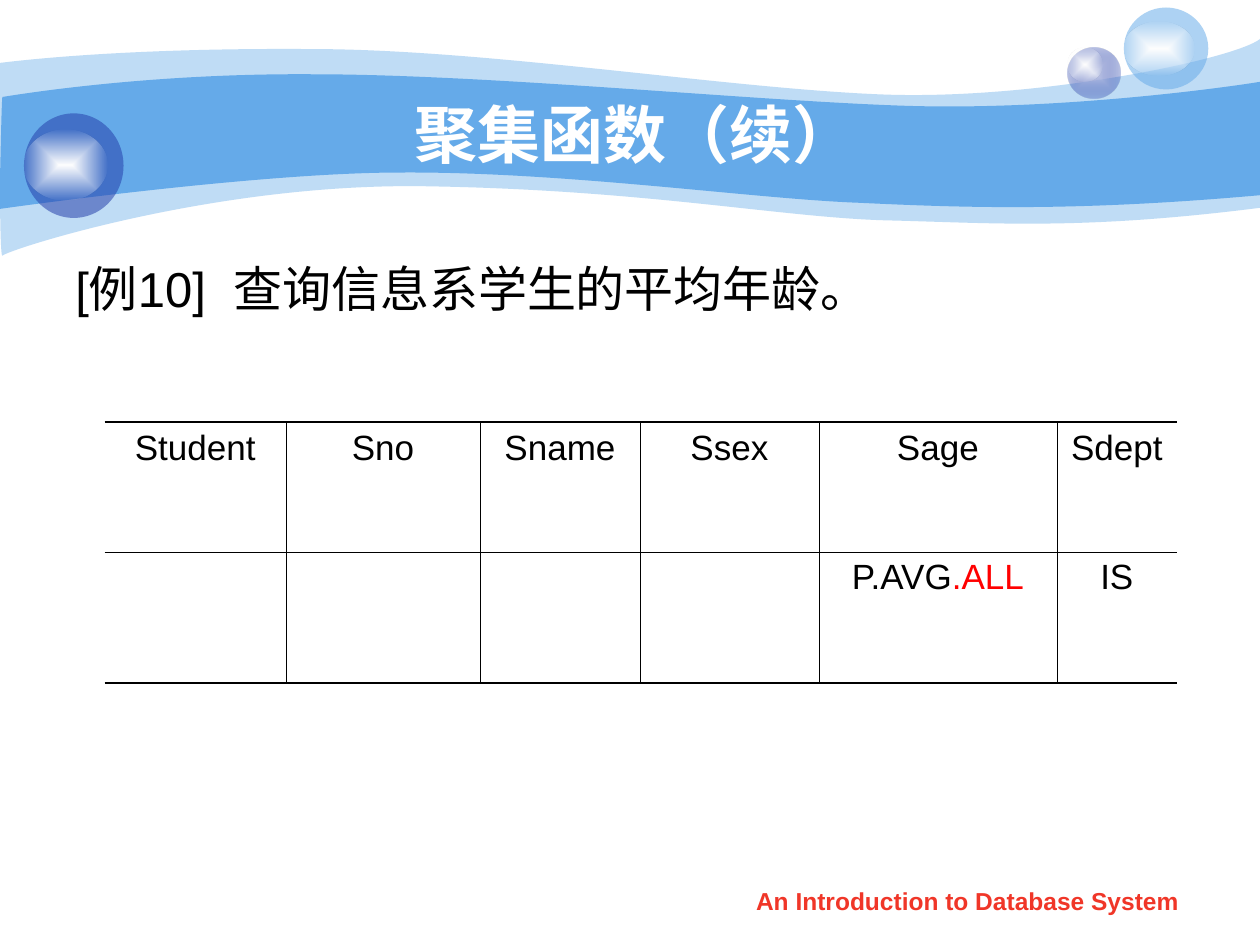
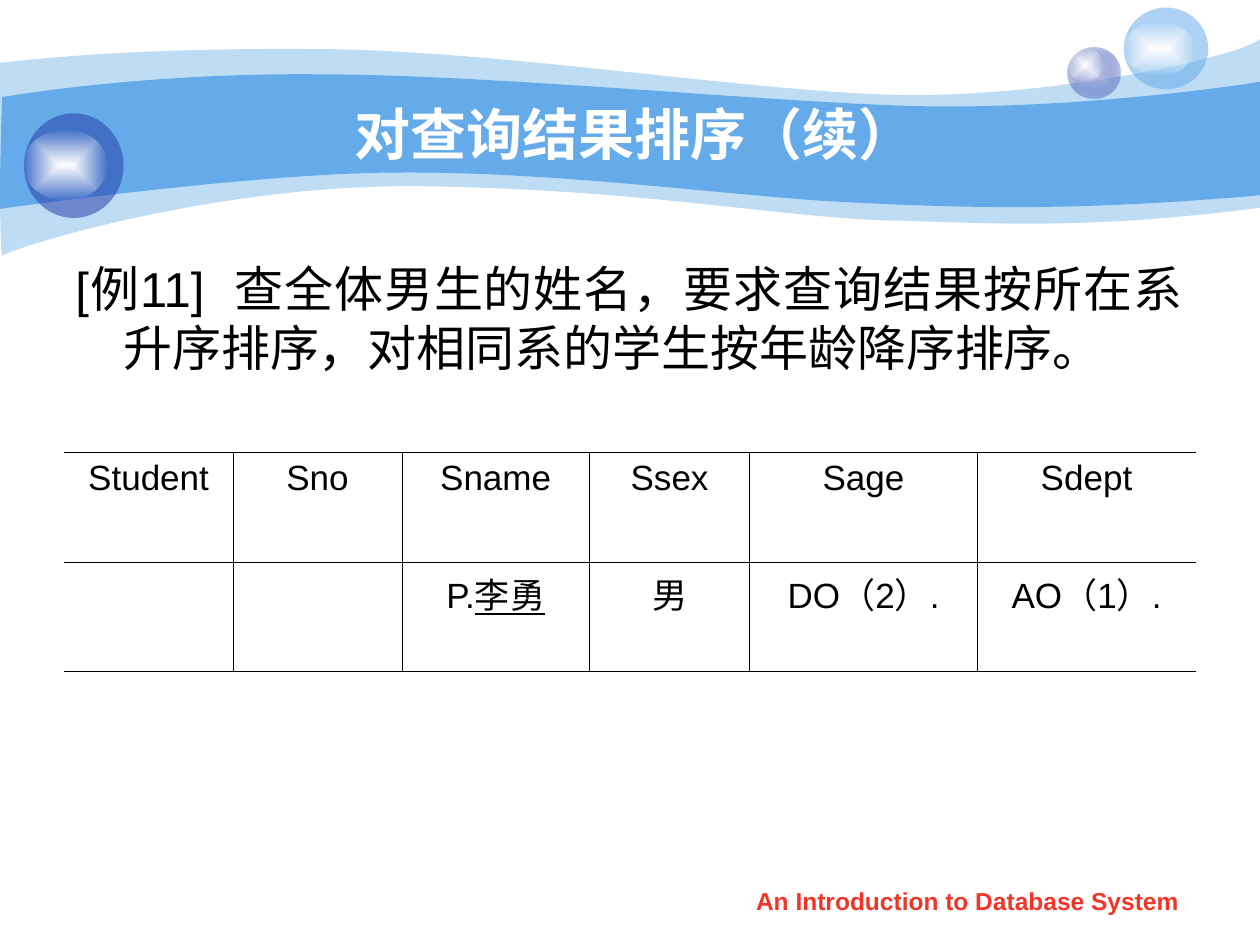
from dataclasses import dataclass
from itertools import chain

from lxml.etree import SubElement
from pptx import Presentation
from pptx.dml.color import RGBColor
from pptx.enum.shapes import MSO_SHAPE
from pptx.enum.text import MSO_ANCHOR, MSO_AUTO_SIZE, PP_ALIGN
from pptx.oxml import parse_xml
from pptx.oxml.ns import nsdecls, qn
from pptx.util import Inches, Pt


@dataclass(frozen=True)
class Theme:
    font: str = "Arial"
    sky: str = "65AAE9"
    navy: str = "233DA9"
    lilac: str = "C7CEE9"
    white: str = "FFFFFF"
    ink: str = "000000"
    accent: str = "FF0000"
    footer: str = "F03628"
    body_size: int = 28
    cell_size: int = 20
    footer_size: int = 14
    thin_rule: float = 0.45
    thick_rule: float = 1.08


THEME = Theme()
COURSE = "An Introduction to Database System"
HEADINGS = ["Student", "Sno", "Sname", "Ssex", "Sage", "Sdept"]

OUTER_WAVE = [
    [(0, 0.5)],
    [(0.24, 0.47), (1.08, 0.38), (2.47, 0.39)],
    [(3.86, 0.39), (5.75, 0.7), (6.99, 0.75)],
    [(8.22, 0.8), (9.8, 0.47), (10, 0.31)],
    [(10, 1.65)],
    [(8.58, 1.83), (7.88, 1.77), (7.05, 1.75)],
    [(6.22, 1.73), (5.15, 1.51), (3.43, 1.48)],
    [(1.72, 1.44), (0.04, 1.99), (0.02, 2.03)],
    [(-0.01, 2.08), (0, 0.75), (0, 0.5)],
]
INNER_WAVE = [
    [(0.02, 0.77)],
    [(0.03, 0.77), (1.1, 0.58), (2.48, 0.59)],
    [(3.87, 0.59), (5.96, 0.8), (7.18, 0.84)],
    [(8.41, 0.88), (9.76, 0.69), (10, 0.65)],
    [(10, 1.55)],
    [(8.53, 1.68), (7.66, 1.65), (6.82, 1.61)],
    [(5.99, 1.58), (4.47, 1.36), (3.17, 1.37)],
    [(2.03, 1.37), (-0.02, 1.66), (-0.01, 1.66)],
    [(0, 1.66), (0.01, 0.77), (0.02, 0.77)],
]


def write(paragraph, text, size, color=THEME.ink, bold=False, underline=False, spacing=0):
    run = paragraph.add_run()
    run.text = text
    font = run.font
    font.name = THEME.font
    font.size = Pt(size)
    font.bold = bold
    font.underline = underline
    font.color.rgb = RGBColor.from_string(color)
    if spacing:
        run._r.get_or_add_rPr().set("spc", str(spacing * 100))


class Deck:
    def __init__(self, theme):
        self.theme = theme
        self.presentation = Presentation()
        self.presentation.slide_width = Inches(10)
        self.presentation.slide_height = Inches(7.5)
        self.slide = None

    def start(self, heading, size):
        self.slide = self.presentation.slides.add_slide(self.presentation.slide_layouts[5])
        self.backdrop()
        self.text(5.71, 6.98, 3.94, 0.35, [(COURSE, {"color": self.theme.footer, "bold": True})],
                  self.theme.footer_size, PP_ALIGN.CENTER)
        self.title(heading, size)

    def backdrop(self):
        theme = self.theme
        glint = [(theme.white, 100), (theme.white, 0)]
        self.wave(OUTER_WAVE, 41)
        self.wave(INNER_WAVE)
        self.gradient_ball(8.47, 0.38, 0.42, 0.4, [(theme.lilac, 100), (theme.navy, 31)])
        self.gradient_ball(8.47, 0.38, 0.28, 0.27, glint)
        self.ball(8.92, 0.06, 0.67, 0.65, theme.sky, 53)
        self.gradient_ball(8.92, 0.17, 0.56, 0.43, glint)
        self.ball(0.19, 0.9, 0.79, 0.83, theme.navy, 53)
        self.gradient_ball(0.19, 1.03, 0.66, 0.56, glint)

    def paint(self, shape, color, opacity):
        shape.shadow.inherit = False
        shape.line.fill.background()
        shape.fill.solid()
        shape.fill.fore_color.rgb = RGBColor.from_string(color)
        if opacity < 100:
            tint = shape._element.spPr.find(qn("a:solidFill"))[0]
            SubElement(tint, qn("a:alpha"), val=str(opacity * 1000))

    def wave(self, segments, opacity=100):
        start, *rest = [(Inches(x), Inches(y)) for x, y in chain(*segments)]
        builder = self.slide.shapes.build_freeform(*start, scale=1.0)
        builder.add_line_segments(rest, close=True)
        shape = builder.convert_to_shape()
        steps = iter(list(shape._element.iter(qn("a:lnTo"))))
        for segment in segments[1:]:
            group = [next(steps) for _ in segment]
            if len(group) == 3:
                outline = group[0].getparent()
                curve = outline.makeelement(qn("a:cubicBezTo"))
                outline.replace(group[0], curve)
                for step in group:
                    curve.append(step[0])
                for step in group[1:]:
                    outline.remove(step)
        self.paint(shape, self.theme.sky, opacity)

    def ball(self, left, top, width, height, color, opacity):
        ball = self.slide.shapes.add_shape(
            MSO_SHAPE.OVAL, Inches(left), Inches(top), Inches(width), Inches(height))
        self.paint(ball, color, opacity)
        return ball

    def gradient_ball(self, left, top, width, height, stops):
        ball = self.ball(left, top, width, height, *stops[0])
        stop_xml = "".join(
            f'<a:gs pos="{index * 100000}"><a:srgbClr val="{color}">'
            f'<a:alpha val="{opacity * 1000}"/></a:srgbClr></a:gs>'
            for index, (color, opacity) in enumerate(stops))
        gradient = parse_xml(
            f'<a:gradFill {nsdecls("a")} rotWithShape="1"><a:gsLst>{stop_xml}</a:gsLst>'
            '<a:path path="rect"><a:fillToRect l="50000" t="50000" r="50000" b="50000"/>'
            '</a:path></a:gradFill>')
        properties = ball._element.spPr
        properties.replace(properties.find(qn("a:solidFill")), gradient)

    def title(self, heading, size):
        title = self.slide.shapes.title
        self.slide.shapes._spTree.append(title._element)
        title.left, title.top = Inches(1), Inches(0.75)
        title.width, title.height = Inches(8.08), Inches(0.62)
        frame = title.text_frame
        frame.auto_size = MSO_AUTO_SIZE.NONE
        frame.vertical_anchor = MSO_ANCHOR.MIDDLE
        paragraph = frame.paragraphs[0]
        paragraph.alignment = PP_ALIGN.CENTER
        write(paragraph, heading, size, color=self.theme.white, bold=True)

    def text(self, left, top, width, height, runs, size, alignment, hanging=0):
        frame = self.slide.shapes.add_textbox(
            Inches(left), Inches(top), Inches(width), Inches(height)).text_frame
        frame.word_wrap = True
        paragraph = frame.paragraphs[0]
        paragraph.alignment = alignment
        if hanging:
            properties = paragraph._p.get_or_add_pPr()
            properties.set("marL", str(Inches(hanging)))
            properties.set("indent", str(-Inches(hanging)))
        for wording, style in runs:
            write(paragraph, wording, size, **style)

    def example(self, number, question, width):
        runs = [(f"[例{number}]", {}), (" ", {"spacing": 8}), (question, {})]
        self.text(0.5, 2, width, 4.92, runs, self.theme.body_size, PP_ALIGN.JUSTIFY, hanging=0.38)

    def borders(self, cell, widths):
        properties = cell._tc.get_or_add_tcPr()
        for index, (side, width) in enumerate(zip("LRTB", widths)):
            fill = (f'<a:solidFill><a:srgbClr val="{self.theme.ink}"/></a:solidFill>'
                    if width else "<a:noFill/>")
            properties.insert(index, parse_xml(
                f'<a:ln{side} {nsdecls("a")} w="{Pt(width)}">{fill}</a:ln{side}>'))

    def query_table(self, left, top, widths, heights, query):
        theme = self.theme
        rows = [{name: [(name, {})] for name in HEADINGS}, query]
        table = self.slide.shapes.add_table(
            len(rows), len(HEADINGS), Inches(left), Inches(top),
            Inches(sum(widths)), Inches(sum(heights))).table
        table.first_row = table.horz_banding = False
        for column, width in zip(table.columns, widths):
            column.width = Inches(width)
        for row, height in zip(table.rows, heights):
            row.height = Inches(height)
        last_row, last_column = len(rows) - 1, len(HEADINGS) - 1
        for r, entries in enumerate(rows):
            for c, name in enumerate(HEADINGS):
                cell = table.cell(r, c)
                cell.fill.background()
                self.borders(cell, (
                    theme.thin_rule if c > 0 else 0,
                    theme.thin_rule if c < last_column else 0,
                    theme.thin_rule if r > 0 else theme.thick_rule,
                    theme.thin_rule if r < last_row else theme.thick_rule))
                paragraph = cell.text_frame.paragraphs[0]
                paragraph.alignment = PP_ALIGN.CENTER
                for wording, style in entries.get(name, []):
                    write(paragraph, wording, theme.cell_size, **style)


def main():
    deck = Deck(THEME)

    deck.start("聚集函数（续）", 36)
    deck.example(10, "查询信息系学生的平均年龄。", 8.75)
    deck.query_table(
        0.83, 3.35, [1.44, 1.54, 1.27, 1.42, 1.89, 0.95], [1.03, 1.04],
        {"Sage": [("P.AVG", {}), (".ALL", {"color": THEME.accent})],
         "Sdept": [("IS", {})]})

    deck.start("对查询结果排序（续）", 32)
    deck.example(11, "查全体男生的姓名，要求查询结果按所在系升序排序，对相同系的学生按年龄降序排序。", 8.99)
    deck.query_table(
        0.51, 3.59, [1.34, 1.34, 1.49, 1.27, 1.81, 1.73], [0.87, 0.87],
        {"Sname": [("P.", {}), ("李勇", {"underline": True})],
         "Ssex": [("男", {})],
         "Sage": [("DO（2）.", {})],
         "Sdept": [("AO（1）.", {})]})

    deck.presentation.save("out.pptx")


if __name__ == "__main__":
    main()
